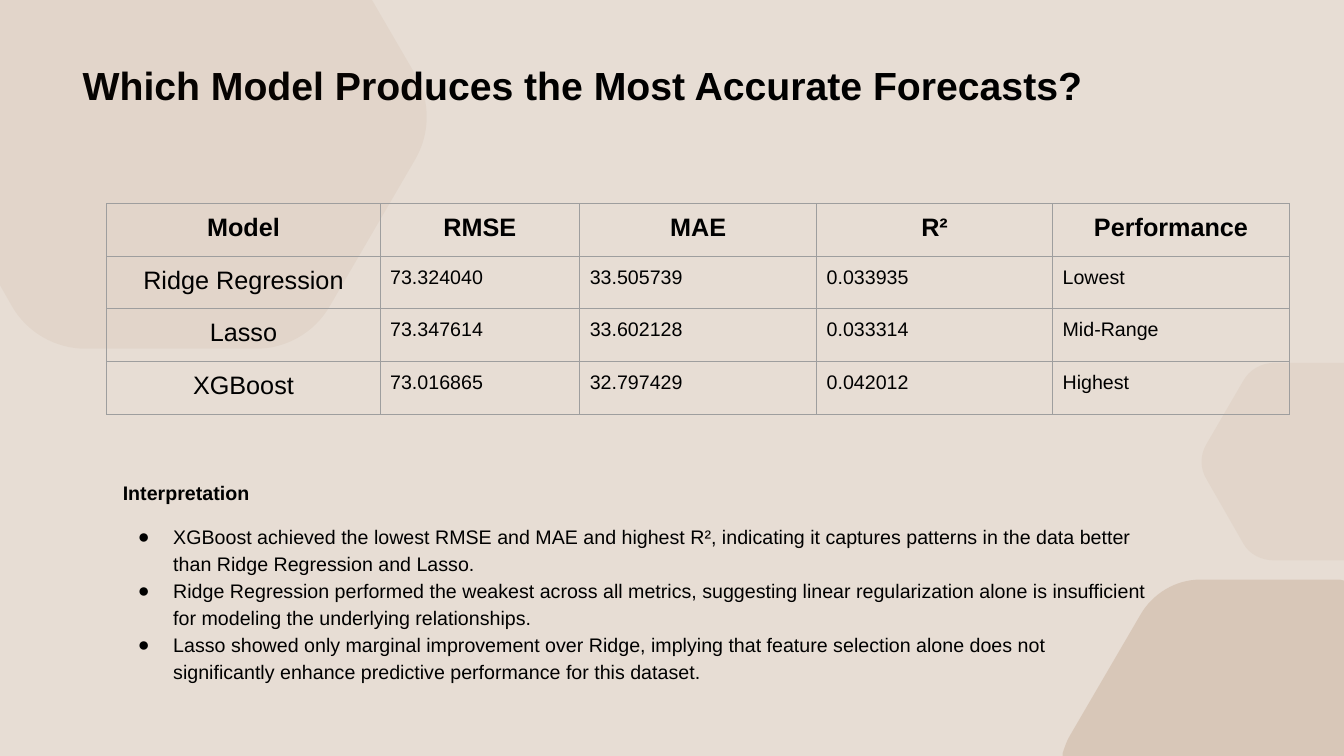
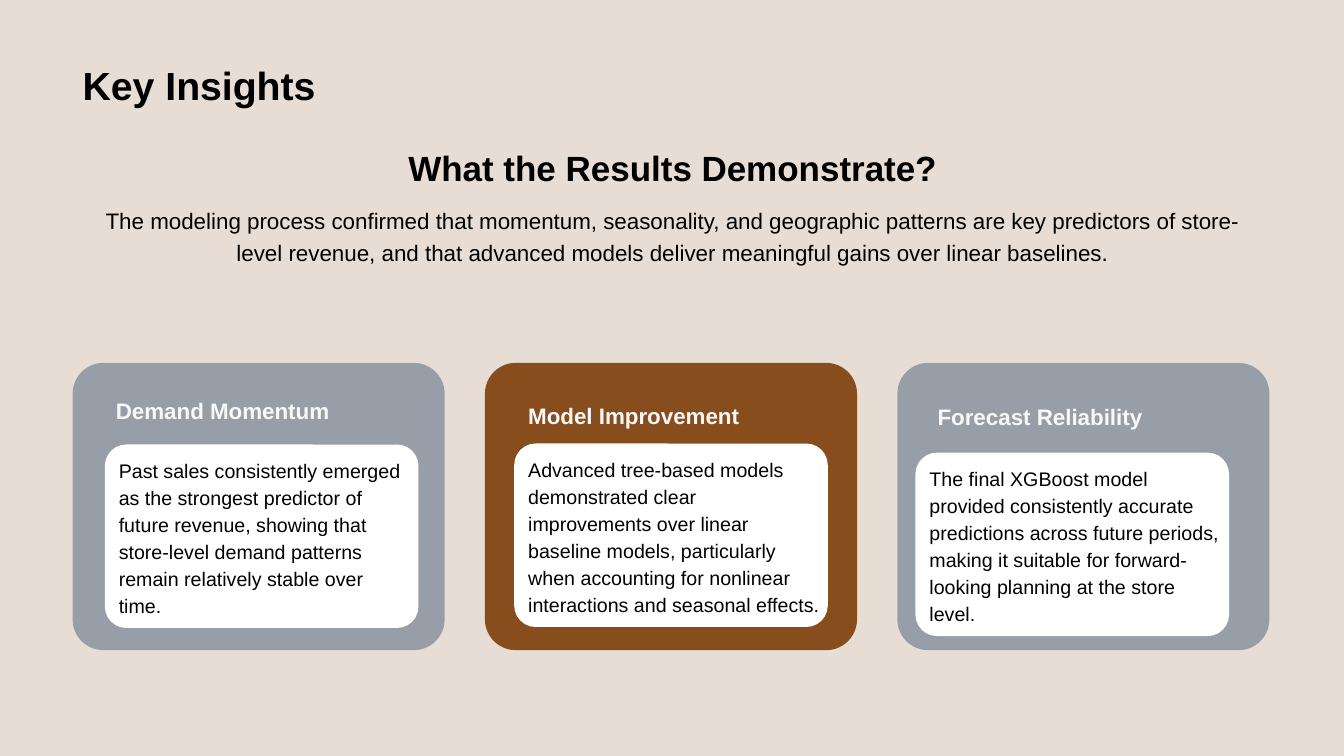
from pptx import Presentation
from pptx.dml.color import RGBColor
from pptx.enum import shapes, text
from pptx.oxml import xmlchemy
from pptx.oxml.ns import qn
from pptx.util import Inches, Pt

FONT = "Arial"
BLACK, WHITE, PALE = "000000", "FFFFFF", "F8F8F8"
BACKGROUND, BROWN, SLATE, BORDER = "F3EEE9", "874D1C", "778495", "9E9E9E"
LEFT, CENTER = text.PP_ALIGN.LEFT, text.PP_ALIGN.CENTER
TOP, MIDDLE, BOTTOM = (text.MSO_ANCHOR.TOP, text.MSO_ANCHOR.MIDDLE,
                       text.MSO_ANCHOR.BOTTOM)
WIDTH, HEIGHT = 13.33, 7.5

# Each outline is a list of points; a six-number entry is a Bezier curve.
HEXAGONS = [
    (5, [(0, 0), (3.69, 0), (4.12, 0.74), (4.27, 1, 4.27, 1.32, 4.12, 1.58),
         (3.27, 3.04), (3.12, 3.3, 2.84, 3.46, 2.54, 3.46), (0.85, 3.46),
         (0.55, 3.46, 0.27, 3.3, 0.12, 3.04), (0, 2.83)]),
    (15, [(11.9, 5.75), (13.29, 5.75), (13.33, 5.76), (13.33, 7.5),
          (10.54, 7.5), (10.54, 7.47), (10.56, 7.41, 10.58, 7.35, 10.61, 7.3),
          (11.31, 6.1), (11.43, 5.89, 11.66, 5.75, 11.9, 5.75)]),
    (5, [(12.64, 3.6), (13.33, 3.6), (13.33, 5.56), (12.64, 5.56),
         (12.51, 5.56, 12.39, 5.5, 12.33, 5.39), (11.97, 4.76),
         (11.9, 4.65, 11.9, 4.51, 11.97, 4.4), (12.33, 3.78),
         (12.39, 3.67, 12.51, 3.6, 12.64, 3.6)]),
]

SCORES = [
    ("Model", "RMSE", "MAE", "R²", "Performance"),
    ("Ridge Regression", "73.324040", "33.505739", "0.033935", "Lowest"),
    ("Lasso", "73.347614", "33.602128", "0.033314", "Mid-Range"),
    ("XGBoost", "73.016865", "32.797429", "0.042012", "Highest"),
]
COLUMN_WIDTHS = (2.71, 1.98, 2.35, 2.34, 2.35)
SCORES_HEIGHT = 2.09

FINDINGS = [
    "XGBoost achieved the lowest RMSE and MAE and highest R², indicating it "
    "captures patterns in the data better than Ridge Regression and Lasso.",
    "Ridge Regression performed the weakest across all metrics, suggesting "
    "linear regularization alone is insufficient for modeling the underlying "
    "relationships.",
    "Lasso showed only marginal improvement over Ridge, implying that feature "
    "selection alone does not significantly enhance predictive performance "
    "for this dataset.",
]

# Heading, heading box, panel corner, text width, card colour, opacity, text
INSIGHTS = [
    ("Demand Momentum", (1.05, 3.6, 3.45, 0.66), (1.04, 4.41), 3.03, SLATE, 70,
     "Past sales consistently emerged as the strongest predictor of future "
     "revenue, showing that store-level demand patterns remain relatively "
     "stable over time."),
    ("Model Improvement", (5.14, 3.76, 3.11, 0.55), (5.1, 4.4), 3.11, BROWN, 100,
     "Advanced tree-based models demonstrated clear improvements over linear "
     "baseline models, particularly when accounting for nonlinear "
     "interactions and seasonal effects."),
    ("Forecast Reliability", (9.2, 3.91, 2.25, 0.41), (9.08, 4.49), 3.11, SLATE, 70,
     "The final XGBoost model provided consistently accurate predictions "
     "across future periods, making it suitable for forward-looking planning "
     "at the store level."),
]


def rgb(color):
    return RGBColor.from_string(color)


def add_child(parent, tag, **attributes):
    child = xmlchemy.OxmlElement(tag)
    for key, value in attributes.items():
        child.set(key, str(value))
    parent.append(child)
    return child


def write(paragraph, words, size=14, bold=False, color=BLACK, align=LEFT,
          spacing=1.0, before=0):
    paragraph.alignment = align
    paragraph.line_spacing = spacing
    paragraph.space_before = Pt(before)
    run = paragraph.add_run()
    run.text = words
    run.font.name, run.font.size, run.font.bold = FONT, Pt(size), bold
    run.font.color.rgb = rgb(color)


def add_bullet(paragraph):
    properties = paragraph._p.get_or_add_pPr()
    properties.set("marL", str(Inches(0.5)))
    properties.set("indent", str(Inches(-0.35)))
    add_child(add_child(properties, "a:buClr"), "a:srgbClr", val=BLACK)
    add_child(properties, "a:buSzPts", val=1400)
    add_child(properties, "a:buFont", typeface=FONT)
    add_child(properties, "a:buChar", char="●")


def set_frame(frame, anchor, padding=0.05):
    frame.word_wrap = True
    frame.auto_size = text.MSO_AUTO_SIZE.NONE
    frame.vertical_anchor = anchor
    frame.margin_left = frame.margin_right = Inches(0.1)
    frame.margin_top = frame.margin_bottom = Inches(padding)


def add_label(slide, box, words, anchor=TOP, padding=0.05, **style):
    """Add a text box holding one paragraph and return its frame."""
    frame = slide.shapes.add_textbox(*map(Inches, box)).text_frame
    set_frame(frame, anchor, padding)
    write(frame.paragraphs[0], words, **style)
    return frame


def paint(shape, color, opacity=100):
    shape.shadow.inherit = False
    shape.line.fill.background()
    shape.fill.solid()
    shape.fill.fore_color.rgb = rgb(color)
    if opacity < 100:
        tint = shape._element.spPr.find(qn("a:solidFill")).find(qn("a:srgbClr"))
        add_child(tint, "a:alpha", val=opacity * 1000)


def add_rounded(slide, box, rounding, color, opacity=100):
    shape = slide.shapes.add_shape(shapes.MSO_SHAPE.ROUNDED_RECTANGLE,
                                   *map(Inches, box))
    shape.adjustments[0] = rounding
    paint(shape, color, opacity)


def add_hexagon(slide, outline, opacity):
    """Draw the outline through all its points, then bend the curved parts."""
    start, *rest = outline
    points = [(Inches(entry[i]), Inches(entry[i + 1]))
              for entry in rest for i in range(0, len(entry), 2)]
    builder = slide.shapes.build_freeform(*map(Inches, start))
    builder.add_line_segments(points, close=True)
    hexagon = builder.convert_to_shape()
    segments = iter(list(hexagon._element.iter(qn("a:lnTo"))))
    for entry in rest:
        segment = next(segments)
        if len(entry) == 6:
            curve = xmlchemy.OxmlElement("a:cubicBezTo")
            segment.addprevious(curve)
            for part in (segment, next(segments), next(segments)):
                curve.append(part[0])
                part.getparent().remove(part)
    paint(hexagon, BROWN, opacity)


def add_borders(cell):
    properties = cell._tc.get_or_add_tcPr()
    for side in ("a:lnL", "a:lnR", "a:lnT", "a:lnB"):
        line = add_child(properties, side, w=Pt(0.75))
        add_child(add_child(line, "a:solidFill"), "a:srgbClr", val=BORDER)


def add_scores(slide, left, top):
    table = slide.shapes.add_table(
        len(SCORES), len(COLUMN_WIDTHS), Inches(left), Inches(top),
        Inches(sum(COLUMN_WIDTHS)), Inches(SCORES_HEIGHT)).table
    table.first_row = table.horz_banding = False
    for column, width in zip(table.columns, COLUMN_WIDTHS):
        column.width = Inches(width)
    for r, values in enumerate(SCORES):
        for c, value in enumerate(values):
            cell = table.cell(r, c)
            add_borders(cell)
            cell.fill.background()
            cell.margin_left = cell.margin_right = Inches(0.1)
            cell.margin_top = cell.margin_bottom = Inches(0.1)
            heading = r == 0 or c == 0
            write(cell.text_frame.paragraphs[0], value, bold=r == 0,
                  size=18 if heading else 14, align=CENTER if heading else LEFT)


def set_backdrop(prs, slide):
    """Give the master its background and a tint that every slide shows."""
    backdrop = prs.slide_master.background.fill
    backdrop.solid()
    backdrop.fore_color.rgb = rgb(BACKGROUND)
    tint = slide.shapes.add_shape(shapes.MSO_SHAPE.RECTANGLE, 0, 0,
                                  prs.slide_width, prs.slide_height)
    paint(tint, BROWN, 10)
    prs.slide_master.shapes._spTree.insert(2, tint._element)


def add_titled_slide(prs, words):
    slide = prs.slides.add_slide(prs.slide_layouts.get_by_name("Title Only"))
    title = slide.shapes.title
    title.left, title.top = Inches(0.72), Inches(0)
    title.width, title.height = Inches(11.88), Inches(1.13)
    set_frame(title.text_frame, BOTTOM)
    write(title.text_frame.paragraphs[0], words, size=28, bold=True)
    return slide


def add_insight(slide, card_left, heading, heading_box, panel, text_width,
                color, opacity, words):
    left, top = panel
    add_rounded(slide, (card_left, 3.6, 3.69, 2.85), 0.107, color, opacity)
    add_label(slide, heading_box, heading, anchor=BOTTOM, size=16, bold=True,
              color=PALE)
    add_rounded(slide, (left, top, 3.11, 1.82), 0.117, WHITE)
    add_label(slide, (left + 0.04, top - 0.08, text_width, 1.99), words,
              anchor=MIDDLE, spacing=1.15)


def build_forecasts(prs):
    slide = add_titled_slide(prs, "Which Model Produces the Most Accurate Forecasts?")
    set_backdrop(prs, slide)
    for opacity, outline in HEXAGONS:
        add_hexagon(slide, outline, opacity)
    add_scores(slide, 1.06, 2.02)
    interpretation = add_label(slide, (1.12, 4.67, 10.37, 2.2), "Interpretation",
                               padding=0.1, bold=True)
    for index, finding in enumerate(FINDINGS):
        paragraph = interpretation.add_paragraph()
        write(paragraph, finding, spacing=1.15, before=0 if index else 12)
        add_bullet(paragraph)


def build_insights(prs):
    slide = add_titled_slide(prs, "Key Insights")
    add_label(slide, (0.73, 1.42, 11.88, 0.5), "What the Results Demonstrate?",
              anchor=BOTTOM, size=25, bold=True, align=CENTER)
    add_label(slide, (0.73, 1.95, 11.88, 0.32),
              "The modeling process confirmed that momentum, seasonality, and "
              "geographic patterns are key predictors of store-level revenue, "
              "and that advanced models deliver meaningful gains over linear "
              "baselines.", size=16, align=CENTER, spacing=1.2)
    for index, insight in enumerate(INSIGHTS):
        add_insight(slide, 0.72 + 4.09 * index, *insight)


def main():
    prs = Presentation()
    prs.slide_width, prs.slide_height = Inches(WIDTH), Inches(HEIGHT)
    build_forecasts(prs)
    build_insights(prs)
    prs.save("out.pptx")


if __name__ == "__main__":
    main()
